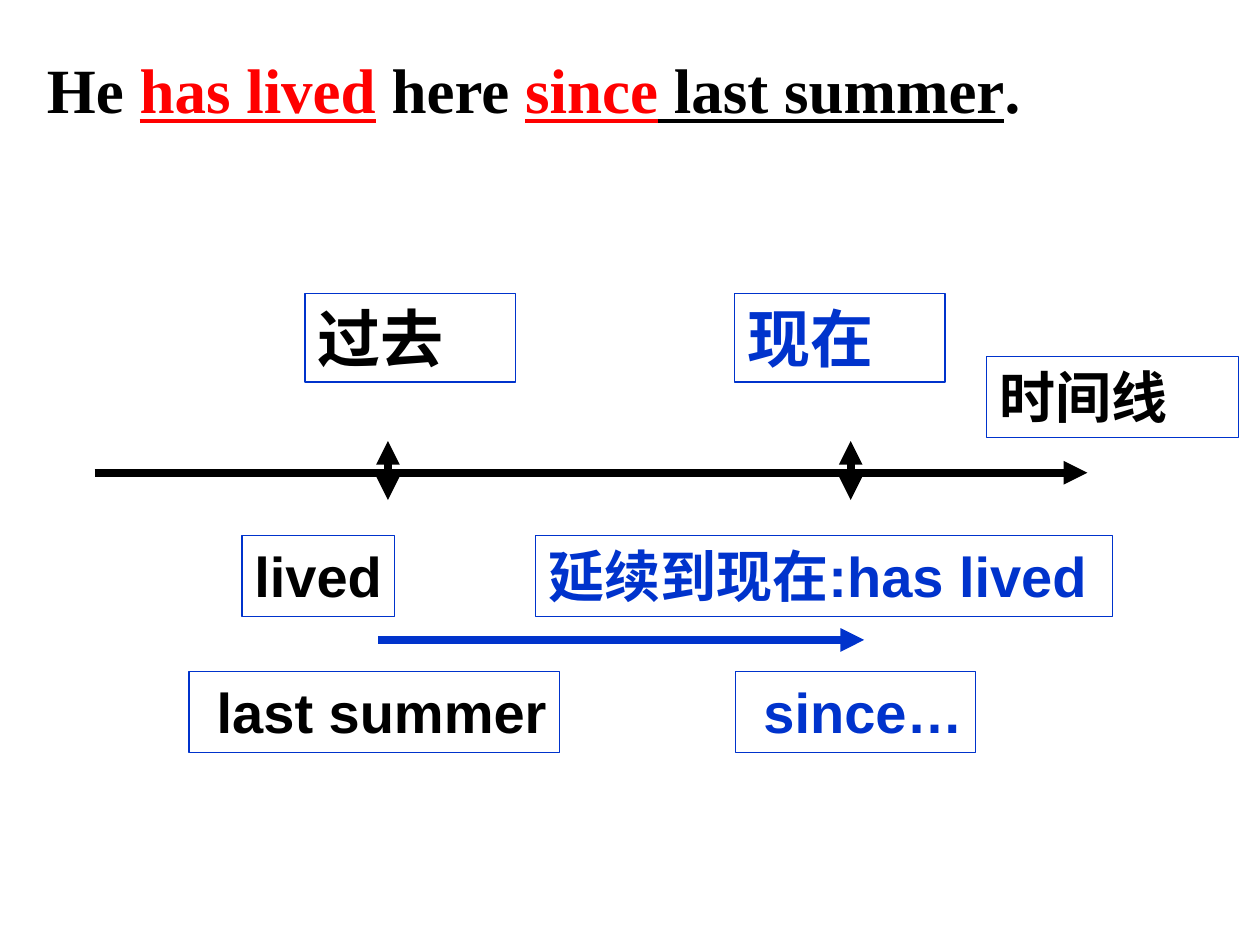
from lxml.etree import SubElement
from pptx import Presentation
from pptx.dml.color import RGBColor
from pptx.enum.shapes import MSO_CONNECTOR, MSO_SHAPE
from pptx.enum.text import MSO_ANCHOR, MSO_AUTO_SIZE, PP_ALIGN
from pptx.oxml.ns import qn
from pptx.util import Cm, Pt

BLACK, RED, BLUE = "000000", "FF0000", "0033CC"

# Sentence: text, colour, underlined
SENTENCE = [
    ("He ", BLACK, False),
    ("has lived", RED, True),
    (" here ", BLACK, False),
    ("since", RED, True),
    (" last summer", BLACK, True),
    (".", BLACK, False),
]

# Positions on the time line, in cm
AXIS_Y = 9.53
PAST_X, NOW_X = 7.82, 17.15
TICK_TOP, TICK_BOTTOM = 8.89, 10.08

# Arrows: start, end, colour, heads at both ends
ARROWS = [
    ((1.91, AXIS_Y), (21.92, AXIS_Y), BLACK, False),
    ((NOW_X, TICK_TOP), (NOW_X, TICK_BOTTOM), BLACK, True),
    ((PAST_X, TICK_TOP), (PAST_X, TICK_BOTTOM), BLACK, True),
    ((7.62, 12.9), (17.42, 12.9), BLUE, False),
]

# Labels: text, left, top, width, font size, colour, left inset
PERIOD_TOP, VERB_TOP, PHRASE_TOP = 5.92, 10.8, 13.54
INSET, INDENTED = 0.25, 0.56
LABELS = [
    ("时间线", 19.89, 7.19, 5.08, 32, BLACK, INSET),
    ("现在", 14.81, PERIOD_TOP, 4.24, 36, BLUE, INSET),
    ("过去", 6.15, PERIOD_TOP, 4.24, 36, BLACK, INSET),
    ("lived", 4.88, VERB_TOP, 3.07, 32, BLACK, INSET),
    ("延续到现在:has lived", 10.8, VERB_TOP, 11.63, 32, BLUE, INSET),
    ("last summer", 3.81, PHRASE_TOP, 7.47, 32, BLACK, INDENTED),
    ("since…", 14.83, PHRASE_TOP, 4.83, 32, BLUE, INDENTED),
]
LABEL_HEIGHTS = {32: 1.63, 36: 1.78}


def colour(value):
    return RGBColor.from_string(value)


def add_sentence(slide):
    title = slide.shapes.title
    title.left, title.top = Cm(0.69), Cm(0.9)
    title.width, title.height = Cm(24.71), Cm(17.6)
    frame = title.text_frame
    frame.auto_size = MSO_AUTO_SIZE.NONE
    frame.vertical_anchor = MSO_ANCHOR.TOP
    paragraph = frame.paragraphs[0]
    paragraph.alignment = PP_ALIGN.LEFT
    paragraph.space_before = Pt(0)
    paragraph.font.name = "Times New Roman"
    paragraph.font.size = Pt(36)
    paragraph.font.bold = True
    for text, text_colour, underlined in SENTENCE:
        run = paragraph.add_run()
        run.text = text
        run.font.color.rgb = colour(text_colour)
        run.font.underline = underlined


def add_arrow(slide, start, end, line_colour, both_ends):
    points = [Cm(value) for value in start + end]
    arrow = slide.shapes.add_connector(MSO_CONNECTOR.STRAIGHT, *points)
    arrow.line.color.rgb = colour(line_colour)
    arrow.line.width = Pt(4.5)
    properties = arrow.element.spPr
    line = properties.find(qn("a:ln"))
    for tag in ["a:headEnd", "a:tailEnd"] if both_ends else ["a:tailEnd"]:
        SubElement(line, qn(tag), type="triangle")
    SubElement(properties, qn("a:effectLst"))


def add_label(slide, text, left, top, width, size, text_colour, inset):
    label = slide.shapes.add_shape(
        MSO_SHAPE.RECTANGLE, Cm(left), Cm(top), Cm(width), Cm(LABEL_HEIGHTS[size])
    )
    label.shadow.inherit = False
    label.fill.background()
    label.line.color.rgb = colour(BLUE)
    label.line.width = Pt(0.75)
    frame = label.text_frame
    frame.word_wrap = False
    frame.vertical_anchor = MSO_ANCHOR.TOP
    frame.margin_left = Cm(inset)
    paragraph = frame.paragraphs[0]
    paragraph.text = text
    paragraph.alignment = PP_ALIGN.LEFT
    paragraph.font.name = "Arial"
    paragraph.font.size = Pt(size)
    paragraph.font.bold = True
    paragraph.font.color.rgb = colour(text_colour)


def main():
    presentation = Presentation()
    presentation.slide_width, presentation.slide_height = Cm(25.4), Cm(19.05)
    slide = presentation.slides.add_slide(presentation.slide_layouts[5])
    add_sentence(slide)
    for arrow in ARROWS:
        add_arrow(slide, *arrow)
    for label in LABELS:
        add_label(slide, *label)
    presentation.save("out.pptx")


if __name__ == "__main__":
    main()
